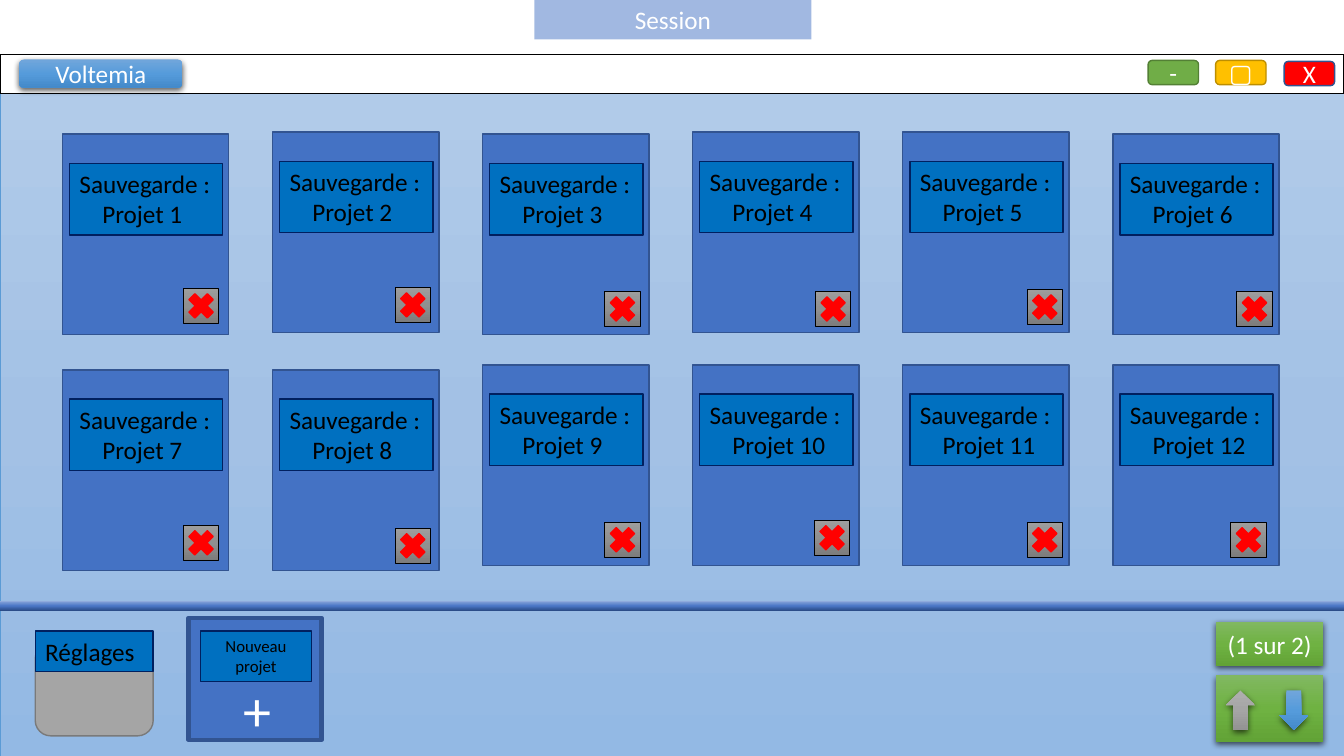
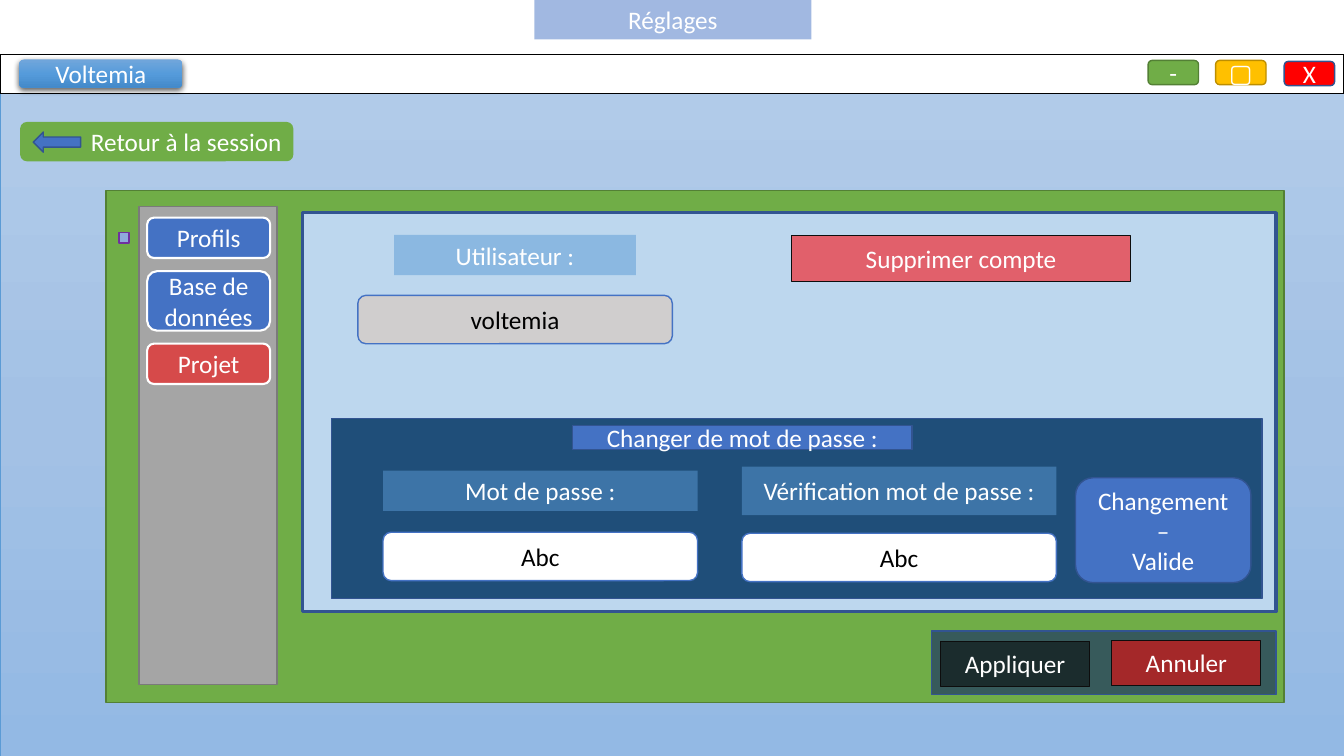
"""Build the session and settings screens of a project manager mock-up."""
from dataclasses import dataclass, replace
from typing import NamedTuple

from lxml import etree
from pptx import Presentation, util as u
from pptx.dml.color import RGBColor
from pptx.enum import shapes, text
from pptx.oxml.ns import qn

CELL = u.Inches(0.1)
COLS, ROWS = 133.33, 75
FONT = "Calibri"
APP = "Voltemia"
KIND, ALIGN, ANCHOR = shapes.MSO_SHAPE, text.PP_ALIGN, text.MSO_ANCHOR

WHITE, BLACK, RED = "FFFFFF", "000000", "FF0000"
BLUE, NAVY, SKY = "4472C4", "325491", "5B9BD5"
GREEN, MOSS, GREY, SLATE = "70AD47", "538035", "A5A5A5", "7A7A7A"
SKY_FADE = ("71A6DB", "559BDB", "448ACA")
GREEN_FADE = ("81B861", "6FB242", "62A336")


class Box(NamedTuple):
    """Left, top, width and height in grid cells."""
    x: float
    y: float
    w: float
    h: float


@dataclass(frozen=True)
class Look:
    """Outline, fill and text format of a shape."""
    fill: str | tuple[str, ...]
    line: str = ""
    width: float = 1
    kind: KIND = KIND.RECTANGLE
    alpha: int = 100
    angle: int = 90
    middle: int = 50
    shadow: bool = False
    size: float = 18
    color: str = WHITE
    align: ALIGN = ALIGN.CENTER
    anchor: ANCHOR = ANCHOR.MIDDLE
    indent: float = 0


class Card(NamedTuple):
    """Top of a project card and the position of its delete button."""
    top: float
    button_x: float
    button_y: float


class Item(NamedTuple):
    """One shape of a screen."""
    look: Look
    box: Box
    text: str = ""


ROUND = KIND.ROUNDED_RECTANGLE
BACKDROP = Look(("B1CBE9", "A3C1E5", "93B9E4"), SKY, 0.5)
TITLE = Look(BLUE, alpha=50)
BRAND = Look(SKY_FADE, kind=ROUND, shadow=True)
CARD = Look(BLUE, NAVY)
LABEL = Look("0070C0", "002060", color=BLACK, align=ALIGN.LEFT, anchor=ANCHOR.TOP)
CARD_LABEL = replace(LABEL, indent=2.26)
BUTTON = Look(("9D9D9D", "909090", "7C7C7C"), BLACK, 0.5)
CROSS = Look(RED, RED, kind=KIND.MATH_MULTIPLY)
PAGER = Look(GREEN_FADE, shadow=True)
DIVIDER = Look(("2A4B86", "4A76C6", "8FAADC"), angle=270, middle=48)
TAB = Look(BLUE, WHITE, 1.5, kind=ROUND)
FIELD = Look(WHITE, BLUE, kind=ROUND, color=BLACK)
CAPTION = Look(SKY, alpha=50)
DANGER = Look(RED, "0D0D0D", 0.75, alpha=55)

FRAME = [
    Item(BACKDROP, Box(0, 9.2, COLS, ROWS - 9.2)),
    Item(Look(WHITE, BLACK), Box(0, 5.4, COLS, 3.9)),
    Item(Look(GREEN, MOSS, kind=ROUND), Box(113.9, 6, 5, 2.4), "-"),
    Item(Look("FFC000", "BD8E00", kind=ROUND), Box(120.6, 6, 5, 2.4), "▢"),
    Item(Look(RED, NAVY, kind=ROUND), Box(127.4, 6.1, 5, 2.4), "X"),
    Item(BRAND, Box(1.9, 5.9, 16.2, 2.8), APP),
]

CARD_LEFT, CARD_PITCH, CARDS_PER_ROW = 6.2, 20.84, 6
CARDS = [
    Card(13.3, 18.2, 28.6), Card(13.1, 39.2, 28.5), Card(13.3, 60, 28.9),
    Card(13.1, 80.9, 28.9), Card(13.1, 101.9, 28.7), Card(13.3, 122.7, 28.9),
    Card(36.7, 18.2, 52.1), Card(36.7, 39.2, 52.4), Card(36.2, 60, 51.8),
    Card(36.2, 80.8, 51.6), Card(36.2, 101.9, 51.8), Card(36.2, 122.1, 51.8),
]

SESSION = [
    Item(DIVIDER, Box(0, 59.6, COLS, 1)),
    Item(replace(CARD, width=3), Box(18.7, 61.3, 13.2, 12.1)),
    Item(replace(LABEL, size=12, align=ALIGN.CENTER), Box(19.9, 62.6, 11, 5), "Nouveau projet"),
    Item(Look(BLUE, size=40), Box(23.2, 68.9, 4.2, 2.9), "+"),
    Item(Look(GREY, SLATE, kind=ROUND), Box(3.5, 63.8, 11.7, 9.2)),
    Item(LABEL, Box(3.5, 62.6, 11.7, 4), "Réglages"),
    Item(PAGER, Box(120.6, 61.7, 10.7, 4.4), "(1 sur 2)"),
    Item(PAGER, Box(120.6, 67, 10.7, 6.6)),
    Item(replace(BRAND, kind=KIND.DOWN_ARROW), Box(126.9, 68.5, 2.9, 3.9)),
    Item(Look(("AFAFAF", GREY, "939393"), kind=KIND.UP_ARROW, shadow=True),
         Box(121.6, 68.5, 2.9, 3.9)),
]

SETTINGS = [
    Item(Look(GREEN, MOSS), Box(10.5, 18.9, 116.9, 50.8)),
    Item(Look(GREEN, kind=ROUND, align=ALIGN.RIGHT), Box(2, 12.1, 27.1, 3.9),
         "Retour à la session"),
    Item(replace(CARD, kind=KIND.LEFT_ARROW), Box(3.3, 13.1, 4.7, 2)),
    Item(Look(GREY, SLATE), Box(13.8, 20.5, 13.7, 47.4)),
    Item(TAB, Box(14.6, 21.6, 12.2, 4), "Profils"),
    Item(TAB, Box(14.6, 26.9, 12.2, 5.9), "Base de données"),
    Item(replace(TAB, fill=RED, alpha=55), Box(14.6, 34.1, 12.2, 4), "Projet"),
    Item(Look("8FAADC", "7030A0"), Box(11.8, 23.1, 1, 1)),
    Item(Look("BDD7EE", NAVY, 2.25), Box(30, 21.1, 96.6, 39.6)),
    Item(CAPTION, Box(39.1, 23.3, 24, 4), "Utilisateur :"),
    Item(replace(FIELD, fill="D0CECE"), Box(35.5, 29.3, 31.2, 4.8), APP.lower()),
    Item(DANGER, Box(78.5, 23.4, 33.7, 4.5), "Supprimer compte"),
    Item(Look("1F4E79", NAVY), Box(32.9, 41.5, 92.3, 17.9)),
    Item(CARD, Box(56.8, 42.2, 33.7, 2.4), "Changer de mot de passe :"),
    Item(CAPTION, Box(38, 46.7, 31.2, 4), "Mot de passe :"),
    Item(FIELD, Box(38, 52.8, 31.2, 4.8), "Abc"),
    Item(CAPTION, Box(73.6, 46.3, 31.2, 4.8), "Vérification mot de passe :"),
    Item(FIELD, Box(73.6, 52.9, 31.2, 4.8), "Abc"),
    Item(replace(CARD, kind=ROUND), Box(106.7, 47.4, 17.4, 10.4), "Changement –\nValide"),
    Item(Look("203864", NAVY, alpha=70), Box(92.4, 62.6, 34.2, 6.3)),
    Item(replace(DANGER, fill=BLACK, alpha=50), Box(93.3, 63.6, 14.8, 4.5), "Appliquer"),
    Item(DANGER, Box(110.3, 63.5, 14.8, 4.5), "Annuler"),
]


def rgb(value: str) -> RGBColor:
    """Return the colour of a hex string."""
    return RGBColor.from_string(value)


def add_color(parent, value: str, alpha: int = 100) -> None:
    """Append a colour element, with its opacity when it is not full."""
    color = etree.SubElement(parent, qn("a:srgbClr"), val=value)
    if alpha < 100:
        etree.SubElement(color, qn("a:alpha"), val=str(alpha * 1000))


def paint(sp, look: Look) -> None:
    """Give a shape its fill, line and shadow."""
    props = sp._element.spPr
    if isinstance(look.fill, tuple):
        sp.fill.gradient()
        sp.fill.gradient_angle = 360 - look.angle
        stops = props.find(qn("a:gradFill")).find(qn("a:gsLst"))
        stops.clear()
        for place, value in zip((0, look.middle, 100), look.fill):
            stop = etree.SubElement(stops, qn("a:gs"), pos=str(place * 1000))
            add_color(stop, value)
    else:
        sp.fill.solid()
        sp.fill.fore_color.rgb = rgb(look.fill)
        if look.alpha < 100:
            solid = props.find(qn("a:solidFill"))
            solid.clear()
            add_color(solid, look.fill, look.alpha)
    if look.line:
        sp.line.color.rgb = rgb(look.line)
        sp.line.width = u.Pt(look.width)
    else:
        sp.line.fill.background()
    sp.shadow.inherit = False
    if look.shadow:
        shade = etree.SubElement(
            props.find(qn("a:effectLst")), qn("a:outerShdw"),
            blurRad=str(u.Pt(4.5)), dist=str(u.Pt(1.5)), dir="5400000",
            algn="ctr", rotWithShape="0")
        add_color(shade, BLACK, 63)


def write(sp, content: str, *, size: float, color: str, align: ALIGN,
          anchor: ANCHOR, indent: float) -> None:
    """Write lines of text, indenting those after the first."""
    tf = sp.text_frame
    tf.word_wrap = True
    tf.vertical_anchor = anchor
    for i, line in enumerate(content.split("\n")):
        p = tf.add_paragraph() if i else tf.paragraphs[0]
        p.alignment = align
        if i and indent:
            p._p.get_or_add_pPr().set("marL", str(int(indent * CELL)))
        r = p.add_run()
        r.text = line
        r.font.name = FONT
        r.font.size = u.Pt(size)
        r.font.color.rgb = rgb(color)


def draw(s, item: Item) -> None:
    """Draw one item on a slide."""
    look = item.look
    sp = s.shapes.add_shape(look.kind, *(int(v * CELL) for v in item.box))
    paint(sp, look)
    if item.text:
        write(sp, item.text, size=look.size, color=look.color, align=look.align,
              anchor=look.anchor, indent=look.indent)


def card_items(index: int, card: Card) -> list[Item]:
    """Return the shapes of one project card."""
    x = CARD_LEFT + index % CARDS_PER_ROW * CARD_PITCH
    button = Box(card.button_x, card.button_y, 3.5, 3.5)
    return [
        Item(CARD, Box(x, card.top, 16.5, 19.9)),
        Item(CARD_LABEL, Box(x + 0.7, card.top + 2.9, 15.2, 7.1),
             f"Sauvegarde :\nProjet {index + 1}"),
        Item(BUTTON, button),
        Item(CROSS, button),
    ]


def add_screen(prs, title: str, items: list[Item]) -> None:
    """Add a slide with the window frame, its title and its items."""
    s = prs.slides.add_slide(prs.slide_layouts[6])
    for item in [*FRAME, Item(TITLE, Box(53, 0, 27.5, 3.9), title), *items]:
        draw(s, item)


def main() -> None:
    """Build and save the presentation."""
    prs = Presentation()
    prs.slide_width, prs.slide_height = int(COLS * CELL), ROWS * CELL
    cards = [item for i, card in enumerate(CARDS) for item in card_items(i, card)]
    add_screen(prs, "Session", cards + SESSION)
    add_screen(prs, "Réglages", SETTINGS)
    prs.save("out.pptx")


if __name__ == "__main__":
    main()
